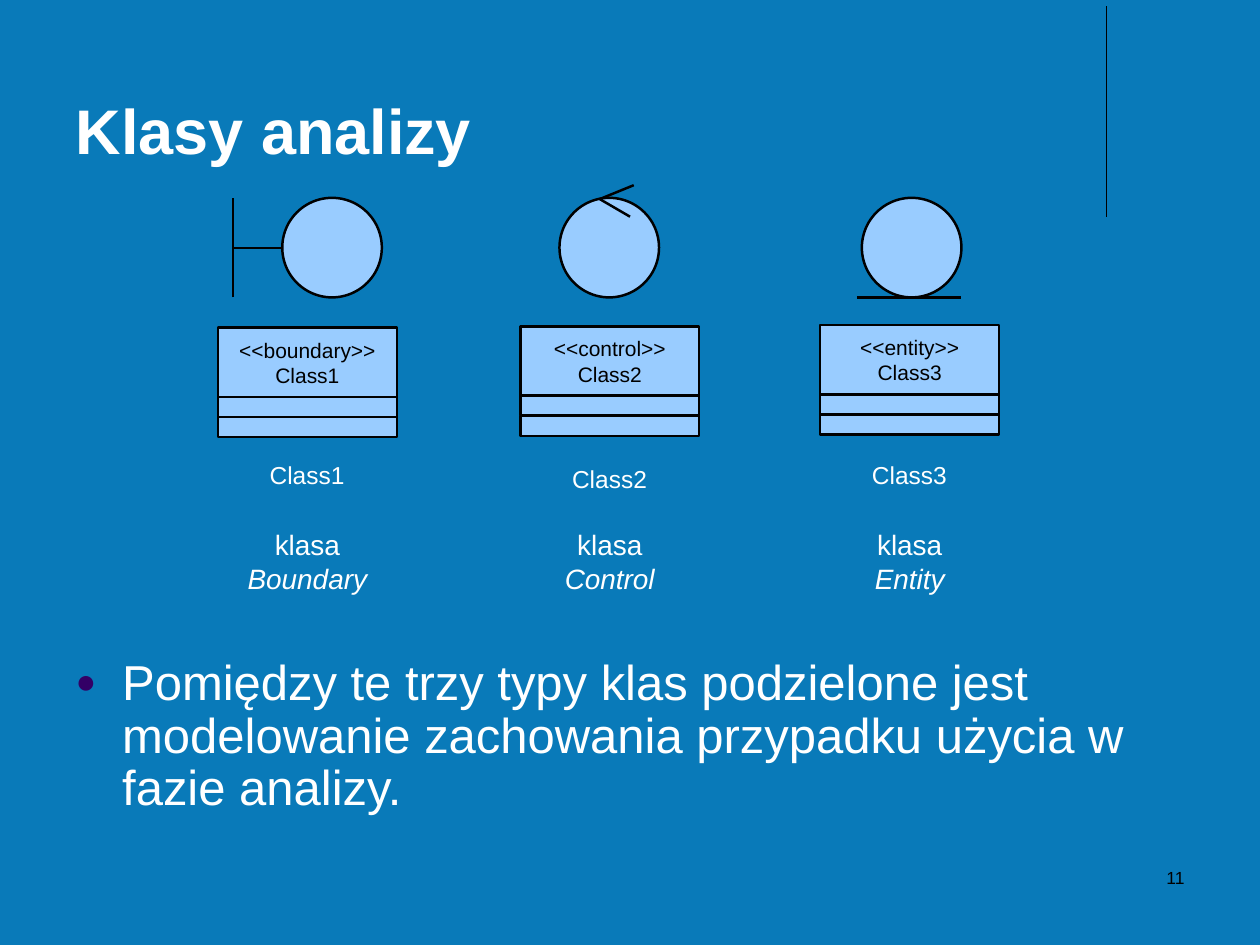
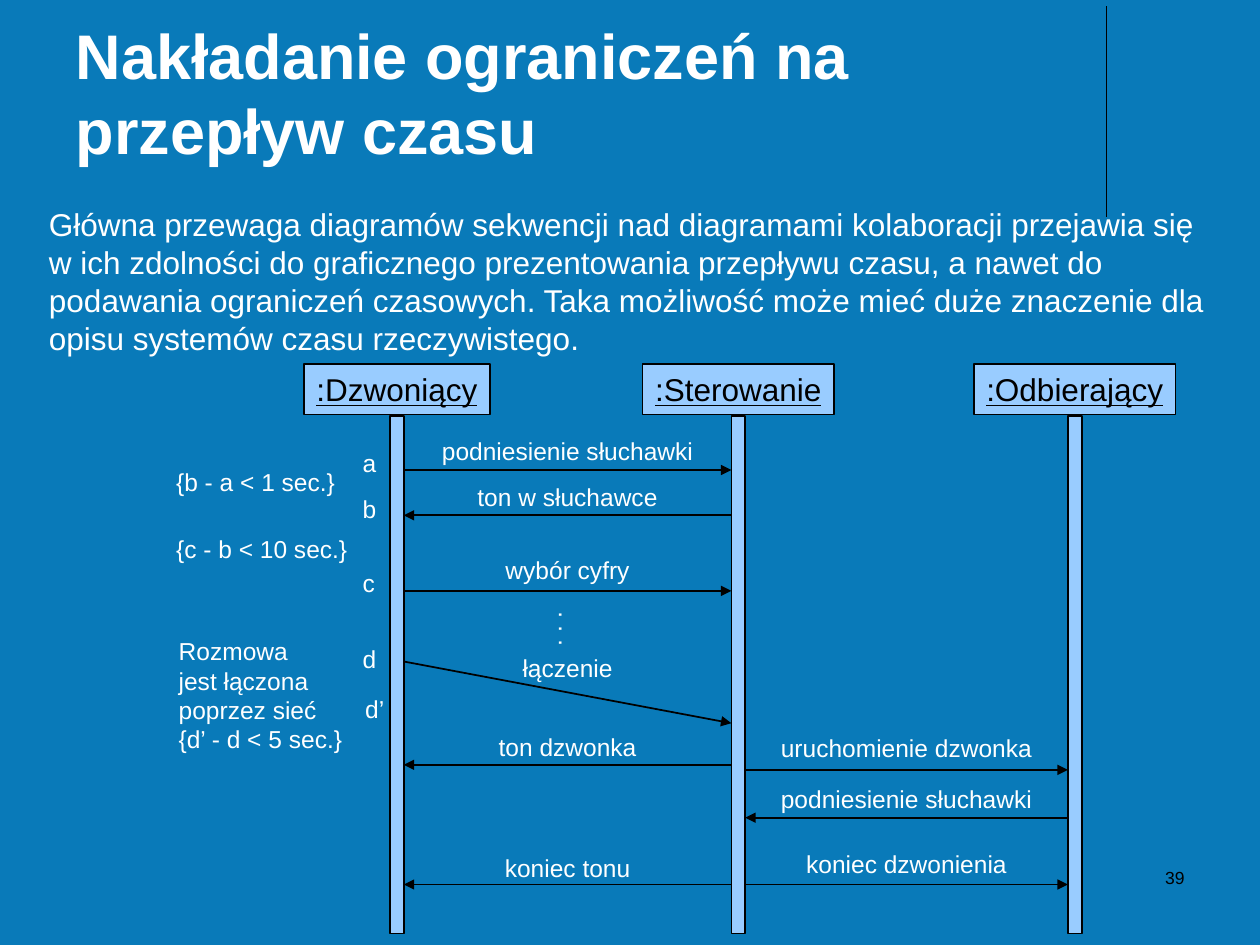
from lxml import etree
from pptx import Presentation
from pptx.dml.color import RGBColor
from pptx.enum import shapes, text
from pptx.oxml.ns import qn
from pptx.util import Inches, Pt

BLUE, PALE, WHITE, BLACK, PURPLE = "097AB9", "99CCFF", "FFFFFF", "000000", "330066"
FONT = "Arial"
LEFT, CENTER, RIGHT = text.PP_ALIGN.LEFT, text.PP_ALIGN.CENTER, text.PP_ALIGN.RIGHT
TITLE_AND_BODY, TITLE_ONLY = 1, 5

# Slide 1: stereotype, class name, column left, box top, name top, circle left
CLASSES_TITLE = "Klasy analizy"
CLASSES = [
    ("Boundary", "Class1", 1.73, 2.6, 3.65, 2.24),
    ("Control", "Class2", 4.13, 2.59, 3.68, 4.44),
    ("Entity", "Class3", 6.51, 2.58, 3.65, 6.84),
]
ICON_STROKES = [
    ((1.85, 1.97), (2.24, 1.97)),
    ((1.85, 2.36), (1.85, 1.57)),
    ((4.76, 1.58), (5.03, 1.47)),
    ((4.76, 1.58), (5, 1.72)),
    ((6.8, 2.36), (7.63, 2.36)),
]
CLASSES_SUMMARY = ("Pomiędzy te trzy typy klas podzielone jest modelowanie "
                   "zachowania przypadku użycia w fazie analizy.")
CLASS_WIDTH, CIRCLE = 1.42, 0.79
ROW_HEIGHTS = (0.55, 0.16, 0.16)
ICON_LINE = 1.42

# Slide 2
TIMING_TITLE = "Nakładanie ograniczeń na przepływ czasu"
TIMING_INTRO = (
    "Główna przewaga diagramów sekwencji nad diagramami kolaboracji przejawia się "
    "w ich zdolności do graficznego prezentowania przepływu czasu, a nawet do podawania "
    "ograniczeń czasowych. Taka możliwość może mieć duże znaczenie dla opisu systemów "
    "czasu rzeczywistego.")
# participant: lifeline centre, header width
PARTICIPANTS = {
    "Dzwoniący": (3.15, 1.48),
    "Sterowanie": (5.86, 1.52),
    "Odbierający": (8.53, 1.6),
}
# label, sender, receiver, start y, end y, label top
MESSAGES = [
    ("podniesienie słuchawki", "Dzwoniący", "Sterowanie", 3.73, 3.73, 3.41),
    ("ton w słuchawce", "Sterowanie", "Dzwoniący", 4.09, 4.09, 3.78),
    ("wybór cyfry", "Dzwoniący", "Sterowanie", 4.69, 4.69, 4.36),
    ("łączenie", "Dzwoniący", "Sterowanie", 5.25, 5.74, 5.13),
    ("ton dzwonka", "Sterowanie", "Dzwoniący", 6.07, 6.07, 5.76),
    ("uruchomienie dzwonka", "Sterowanie", "Odbierający", 6.11, 6.11, 5.77),
    ("podniesienie słuchawki", "Odbierający", "Sterowanie", 6.49, 6.49, 6.17),
    ("koniec tonu", "Sterowanie", "Dzwoniący", 7.02, 7.02, 6.72),
    ("koniec dzwonienia", "Sterowanie", "Odbierający", 7.02, 7.02, 6.69),
]
# text, left, top, width, height
TIME_NOTES = [
    ("a", 2.78, 3.51, 0.31, 0.34),
    ("b", 2.78, 3.87, 0.31, 0.34),
    ("c", 2.78, 4.46, 0.3, 0.34),
    ("d", 2.78, 5.06, 0.31, 0.34),
    ("d’", 2.8, 5.46, 0.35, 0.34),
    ("{b - a < 1 sec.}", 1.3, 3.66, 1.46, 0.34),
    ("{c - b < 10 sec.}", 1.3, 4.19, 1.56, 0.34),
    ("Rozmowa\njest łączona\npoprzez sieć\n{d’ - d < 5 sec.}", 1.32, 5, 1.5, 1.04),
]
HEADER_TOP, HEADER_HEIGHT = 2.89, 0.4
LIFELINE_TOP, LIFELINE_WIDTH, LIFELINE_HEIGHT = 3.3, 0.11, 4.11
LABEL_WIDTH, LABEL_HEIGHT = 2.4, 0.34


def rgb(hex_colour):
    return RGBColor.from_string(hex_colour)


def box(*sides):
    return [Inches(side) for side in sides]


def style_text(frame, size, colour=WHITE, align=LEFT):
    for paragraph in frame.paragraphs:
        paragraph.alignment = align
        for run in paragraph.runs:
            run.font.name = FONT
            run.font.size = Pt(size)
            run.font.color.rgb = rgb(colour)


def add_text(slide, words, place, size, colour=WHITE, align=LEFT, wrap=True):
    label = slide.shapes.add_textbox(*box(*place))
    label.text_frame.word_wrap = wrap
    label.text_frame.text = words
    style_text(label.text_frame, size, colour, align)
    return label


def add_pale(slide, preset, place, weight):
    """Add a light blue shape with a black outline."""
    shape = slide.shapes.add_shape(preset, *box(*place))
    shape.shadow.inherit = False
    shape.fill.solid()
    shape.fill.fore_color.rgb = rgb(PALE)
    shape.line.color.rgb = rgb(BLACK)
    shape.line.width = Pt(weight)
    return shape


def add_line(slide, start, end, weight, arrow=False):
    line = slide.shapes.add_connector(shapes.MSO_CONNECTOR.STRAIGHT, *box(*start, *end))
    line.line.color.rgb = rgb(BLACK)
    line.line.width = Pt(weight)
    properties = line._element.spPr
    if arrow:
        etree.SubElement(properties.find(qn("a:ln")), qn("a:tailEnd"), type="triangle")
    etree.SubElement(properties, qn("a:effectLst"))


def fill_placeholder(placeholder, words, place, size, anchor):
    placeholder.left, placeholder.top, placeholder.width, placeholder.height = box(*place)
    frame = placeholder.text_frame
    frame.text = words
    frame.auto_size = text.MSO_AUTO_SIZE.NONE
    frame.vertical_anchor = anchor
    style_text(frame, size)
    return frame


def add_slide(deck, layout, title, number):
    slide = deck.slides.add_slide(deck.slide_layouts[layout])
    add_line(slide, (8.78, 0.05), (8.78, 1.72), 0.75)
    frame = fill_placeholder(slide.shapes.title, title, (0.5, 0.13, 8.25, 1.25), 36,
                             text.MSO_ANCHOR.BOTTOM)
    frame.paragraphs[0].runs[0].font.bold = True
    add_text(slide, number, (7.17, 6.83, 2.33, 0.5), 10, BLACK, RIGHT)
    return slide


def set_bullet(paragraph, indent):
    properties = paragraph._p.get_or_add_pPr()
    properties.set("marL", str(Inches(indent)))
    properties.set("indent", str(-Inches(indent)))
    colour = etree.SubElement(properties, qn("a:buClr"))
    etree.SubElement(colour, qn("a:srgbClr"), val=PURPLE)
    etree.SubElement(properties, qn("a:buSzPct"), val="70000")
    etree.SubElement(properties, qn("a:buFont"), typeface=FONT)
    etree.SubElement(properties, qn("a:buChar"), char="●")


def add_class(slide, stereotype, name, left, top, name_top, circle_left):
    add_pale(slide, shapes.MSO_SHAPE.OVAL, (circle_left, 1.57, CIRCLE, CIRCLE), ICON_LINE)
    row_top = top
    for row, height in enumerate(ROW_HEIGHTS):
        compartment = add_pale(slide, shapes.MSO_SHAPE.RECTANGLE,
                               (left, row_top, CLASS_WIDTH, height), ICON_LINE)
        if row == 0:
            compartment.text_frame.text = f"<<{stereotype.lower()}>>\n{name}"
            style_text(compartment.text_frame, 12, BLACK, CENTER)
        row_top += height

    caption = add_text(slide, name, (left + 0.41, name_top, 0.6, 0.23), 14, wrap=False)
    frame = caption.text_frame
    frame.margin_left = frame.margin_right = frame.margin_top = frame.margin_bottom = 0

    kind = add_text(slide, "klasa ", (left + 0.08, 4.14, 1.26, 0.64), 16)
    stereotype_run = kind.text_frame.paragraphs[0].add_run()
    stereotype_run.text = stereotype
    stereotype_run.font.italic = True
    style_text(kind.text_frame, 16, align=CENTER)


def build_classes(deck):
    slide = add_slide(deck, TITLE_AND_BODY, CLASSES_TITLE, "11")
    frame = fill_placeholder(slide.placeholders[1], CLASSES_SUMMARY, (0.5, 5.17, 9, 1.54), 28,
                             text.MSO_ANCHOR.TOP)
    summary = frame.paragraphs[0]
    summary.line_spacing = 0.9
    summary.space_before = Pt(7)
    set_bullet(summary, 0.37)
    for analysis_class in CLASSES:
        add_class(slide, *analysis_class)
    for start, end in ICON_STROKES:
        add_line(slide, start, end, ICON_LINE)


def add_participant(slide, name, centre, width):
    header = add_pale(slide, shapes.MSO_SHAPE.RECTANGLE,
                      (centre - width / 2, HEADER_TOP, width, HEADER_HEIGHT), 1)
    header.text_frame.word_wrap = False
    header.text_frame.text = f":{name}"
    style_text(header.text_frame, 18, BLACK, CENTER)
    header.text_frame.paragraphs[0].runs[0].font.underline = True
    add_pale(slide, shapes.MSO_SHAPE.RECTANGLE,
             (centre - LIFELINE_WIDTH / 2, LIFELINE_TOP, LIFELINE_WIDTH, LIFELINE_HEIGHT), 1)


def add_message(slide, label, sender, receiver, start_y, end_y, label_top):
    """Draw an arrow between two lifelines' facing edges, its label centred between them."""
    start_x, end_x = PARTICIPANTS[sender][0], PARTICIPANTS[receiver][0]
    edge = LIFELINE_WIDTH / 2 if start_x < end_x else -LIFELINE_WIDTH / 2
    add_line(slide, (start_x + edge, start_y), (end_x - edge, end_y), 1, arrow=True)
    middle = (start_x + end_x) / 2
    add_text(slide, label, (middle - LABEL_WIDTH / 2, label_top, LABEL_WIDTH, LABEL_HEIGHT),
             14, align=CENTER)


def build_timing(deck):
    slide = add_slide(deck, TITLE_ONLY, TIMING_TITLE, "39")
    for name, (centre, width) in PARTICIPANTS.items():
        add_participant(slide, name, centre, width)
    for message in MESSAGES:
        add_message(slide, *message)
    for words, *place in TIME_NOTES:
        add_text(slide, words, place, 14, wrap=False)
    add_text(slide, TIMING_INTRO, (0.29, 1.58, 9.51, 1.36), 18)
    ellipsis = add_text(slide, ". . .", (4.15, 4.82, 0.47, 0.34), 14, wrap=False)
    ellipsis.rotation = 270


def main():
    deck = Presentation()
    deck.slide_width, deck.slide_height = box(10, 7.5)
    background = deck.slide_master.background.fill
    background.solid()
    background.fore_color.rgb = rgb(BLUE)
    build_classes(deck)
    build_timing(deck)
    deck.save("out.pptx")


if __name__ == "__main__":
    main()
